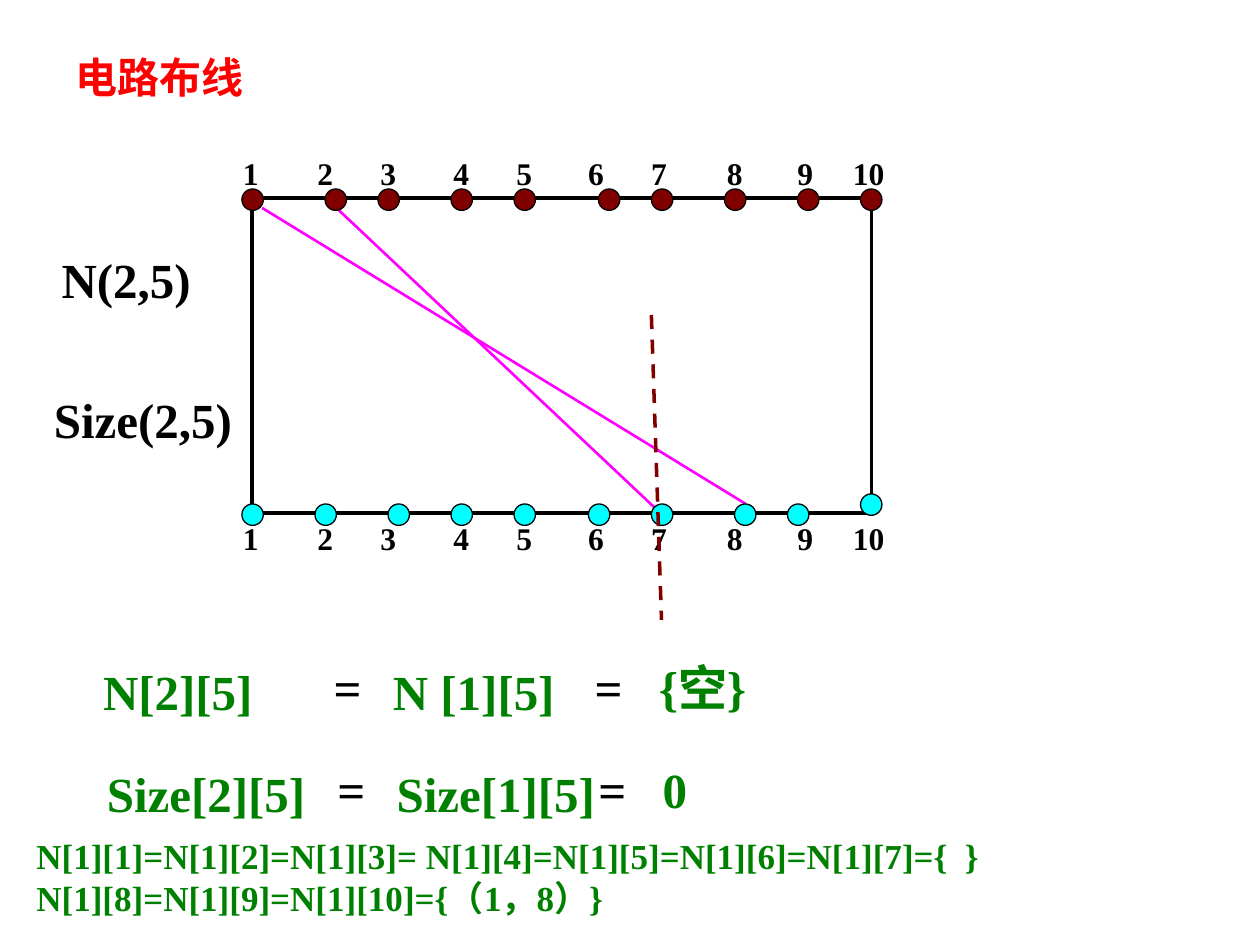
from dataclasses import dataclass

import pptx
import pptx.util
import pptx.dml.color
import pptx.enum.dml
import pptx.enum.shapes
import pptx.enum.text
import pptx.oxml

Inches = pptx.util.Inches


@dataclass(frozen=True)
class Theme:
    red: str = "FF0000"
    black: str = "000000"
    green: str = "008000"
    wire: str = "FF00FF"
    top: str = "800000"
    base: str = "00FFFF"
    head: int = 24
    big: int = 28
    note: int = 20
    pin: int = 18
    sans: str = "Arial"
    serif: str = "Times New Roman"


@dataclass(frozen=True)
class Line:
    start: tuple
    end: tuple
    color: str
    width: float
    dash: bool = False


@dataclass(frozen=True)
class Label:
    text: str
    box: tuple
    color: str
    wrap: bool = False


@dataclass(frozen=True)
class Row:
    lefts: tuple
    y: float
    text_y: float
    color: str


THEME = Theme()
DOT = 0.17


def rgb(color: str):
    return pptx.dml.color.RGBColor.from_string(color)


def write(frame, text: str, *, size: int, color: str, font: str = THEME.serif,
          wrap: bool = False) -> None:
    frame.word_wrap = wrap
    frame.vertical_anchor = pptx.enum.text.MSO_ANCHOR.TOP
    frame.text = text
    for para in frame.paragraphs:
        para.alignment = pptx.enum.text.PP_ALIGN.LEFT
        para.font.size = pptx.util.Pt(size)
        para.font.bold = True
        para.font.name = font
        para.font.color.rgb = rgb(color)


def add_text(slide, label: Label, size: int) -> None:
    box = slide.shapes.add_textbox(*map(Inches, label.box))
    write(box.text_frame, label.text, size=size, color=label.color, wrap=label.wrap)


def add_line(slide, item: Line) -> None:
    line = slide.shapes.add_connector(
        pptx.enum.shapes.MSO_CONNECTOR.STRAIGHT,
        *map(Inches, item.start + item.end))
    line.line.color.rgb = rgb(item.color)
    line.line.width = pptx.util.Pt(item.width)
    if item.dash:
        line.line.dash_style = pptx.enum.dml.MSO_LINE.DASH
    line._element.spPr.append(pptx.oxml.parse_xml(
        '<a:effectLst xmlns:a="http://schemas.openxmlformats.org/drawingml/2006/main"/>'))


def add_dot(slide, left: float, top: float, color: str) -> None:
    dot = slide.shapes.add_shape(pptx.enum.shapes.MSO_SHAPE.OVAL,
                                 *map(Inches, (left, top, DOT, DOT)))
    dot.shadow.inherit = False
    dot.fill.solid()
    dot.fill.fore_color.rgb = rgb(color)
    dot.line.color.rgb = rgb(THEME.black)
    dot.line.width = pptx.util.Pt(0.75)


# Board edges, wires and the cut
EDGES = [
    Line((2, 1.57), (6.92, 1.57), THEME.black, 2),
    Line((2, 4.07), (6.92, 4.07), THEME.black, 2),
    Line((2, 1.65), (2, 4), THEME.black, 1.75),
    Line((6.92, 1.65), (6.92, 3.98), THEME.black, 1.75),
]
WIRES = [
    Line((2.08, 1.65), (5.92, 4), THEME.wire, 1.5),
    Line((2.67, 1.65), (5.25, 4.08), THEME.wire, 1.5),
]
CUT = Line((5.17, 2.5), (5.25, 4.92), THEME.top, 2, dash=True)

# Pin rows; both share the places of their numbers
NUMS = (1.83, 2.42, 2.92, 3.5, 4, 4.57, 5.07, 5.67, 6.23, 6.67)
ROWS = [
    Row((1.92, 2.58, 3, 3.58, 4.08, 4.75, 5.17, 5.75, 6.33, 6.83),
        1.5, 1.17, THEME.top),
    Row((1.92, 2.5, 3.08, 3.58, 4.08, 4.67, 5.17, 5.83, 6.25, 6.83),
        4, 4.07, THEME.base),
]
LIFT = 0.08  # the last lower pin sits a little higher

NAMES = [
    Label("Size(2,5)", (0.33, 3.04, 1.83, 0.57), THEME.black, wrap=True),
    Label("N(2,5)", (0.39, 1.93, 1.24, 0.57), THEME.black),
]
NOTE = Label("N[1][1]=N[1][2]=N[1][3]= N[1][4]=N[1][5]=N[1][6]=N[1][7]={  }\n"
             "N[1][8]=N[1][9]=N[1][10]={（1，8）}",
             (0.19, 6.57, 7.74, 0.77), THEME.green)


def add_sum(slide, left: float, top: float, terms: tuple, widths: tuple) -> None:
    """Draw one line of the form a = b = c."""
    first, mid, last = terms
    wide, span = widths
    high = 0.57
    for label in (
        Label(first, (left, top + 0.03, wide, high), THEME.green),
        Label(mid, (left + 2.3, top + 0.03, span, high), THEME.green),
        Label("=", (left + 1.83, top, 0.42, high), THEME.black),
        Label("=", (left + 3.9, top, 0.42, high), THEME.black),
        Label(last, (left + 4.41, top, 2.62, high), THEME.green, wrap=True),
    ):
        add_text(slide, label, THEME.big)


def main() -> None:
    deck = pptx.Presentation()
    deck.slide_width, deck.slide_height = Inches(10), Inches(7.5)
    slide = deck.slides.add_slide(deck.slide_layouts[5])

    # Title
    title = slide.shapes.title
    title.left, title.top, title.width, title.height = map(
        Inches, (0.5, 0.36, 2.25, 0.5))
    write(title.text_frame, "电路布线", size=THEME.head, color=THEME.red,
          font=THEME.sans, wrap=True)
    title.text_frame.auto_size = pptx.enum.text.MSO_AUTO_SIZE.NONE

    # Board
    for edge in EDGES:
        add_line(slide, edge)
    for row in ROWS:
        for num, left in enumerate(NUMS, 1):
            wide = 0.45 if num == 10 else 0.33
            add_text(slide, Label(str(num), (left, row.text_y, wide, 0.4),
                                  THEME.black), THEME.pin)
    for wire in WIRES:
        add_line(slide, wire)
    for row in ROWS:
        for num, left in enumerate(row.lefts, 1):
            lift = LIFT if num == 10 and row.color == THEME.base else 0
            add_dot(slide, left, row.y - lift, row.color)
    add_line(slide, CUT)

    # Names, sums and closing note
    for name in NAMES:
        add_text(slide, name, THEME.big)
    add_sum(slide, 0.72, 5.17, ("N[2][5]", "N [1][5]", "{空}"), (1.4, 1.5))
    add_sum(slide, 0.75, 5.98, ("Size[2][5]", "Size[1][5]", "0"), (1.8, 1.8))
    add_text(slide, NOTE, THEME.note)

    deck.save("out.pptx")


if __name__ == "__main__":
    main()
